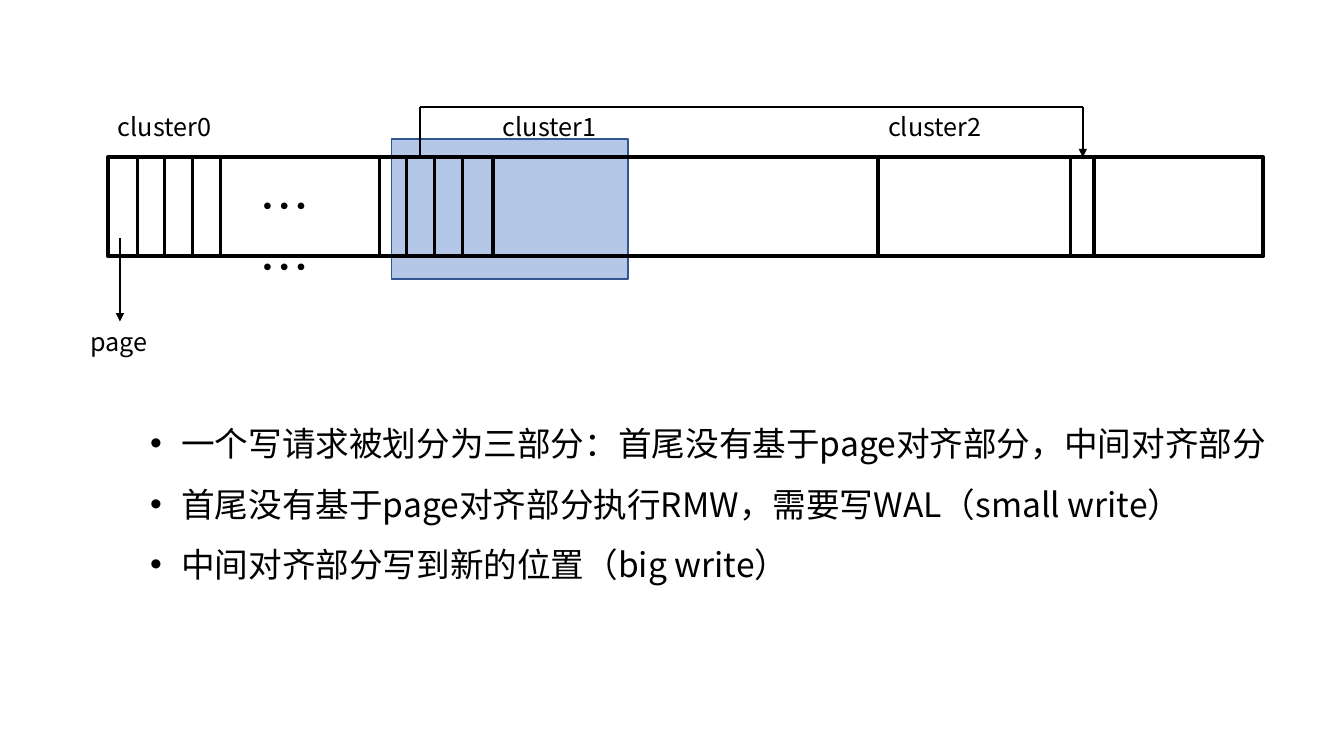
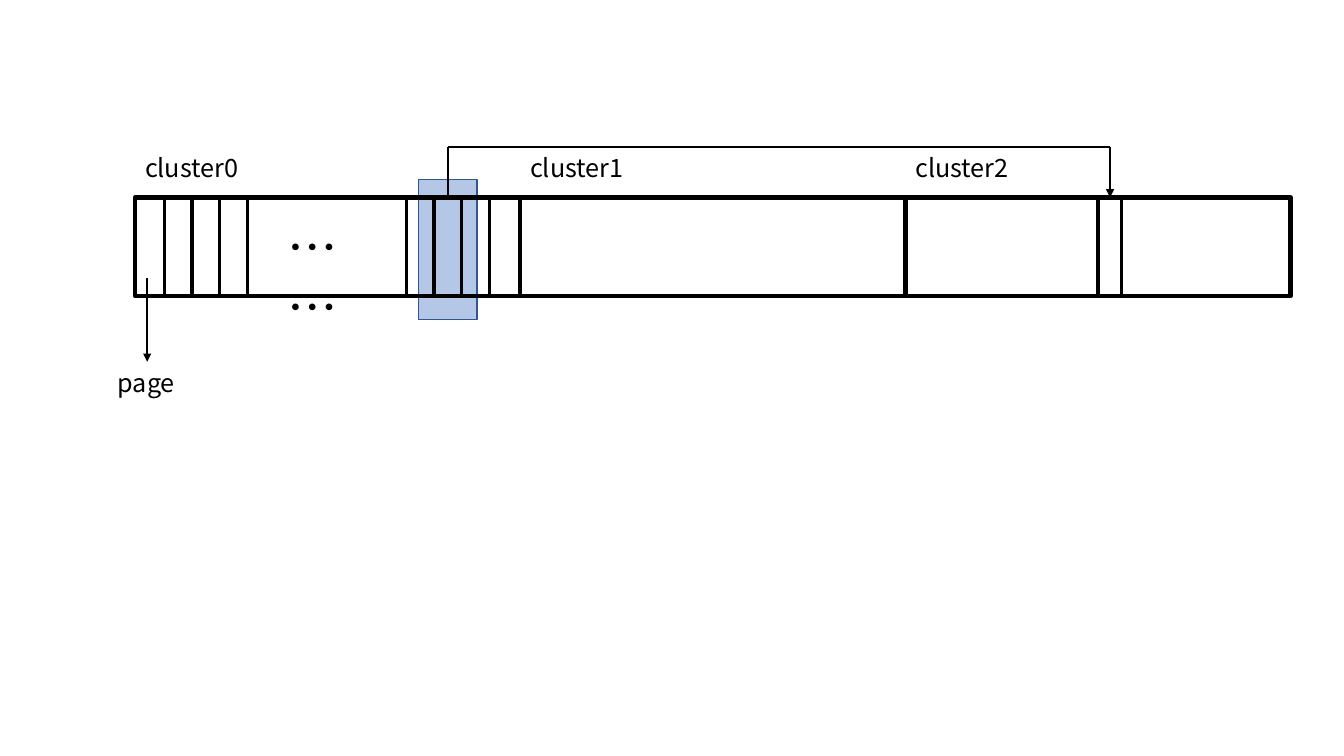
from lxml import etree
from pptx import Presentation
from pptx.dml.color import RGBColor
from pptx.enum import shapes, text
from pptx.oxml import ns
from pptx.util import Inches, Pt

FONT = "Noto Sans CJK SC"
COLORS = {"ink": "000000", "fill": "B4C7E7", "edge": "325491"}

# Strip measures, in inches from its top left corner
CELL, HIGH, RISE = 3.82, 0.98, 0.5
STEP = 0.275
PAGES = [start + STEP * i for start in (0.29, 2.69) for i in range(4)]
MOVED = [9.55, 9.78]
SOURCE, TARGET = 3.1, 9.67

POINTS = [
    "一个写请求被划分为三部分：首尾没有基于page对齐部分，中间对齐部分",
    "首尾没有基于page对齐部分执行RMW，需要写WAL（small write）",
    "中间对齐部分写到新的位置（big write）",
]


class Deck:
    def __init__(self):
        self.prs = Presentation()
        self.prs.slide_width = Inches(13.33)
        self.prs.slide_height = Inches(7.5)
        self.slide = None

    def page(self):
        self.slide = self.prs.slides.add_slide(self.prs.slide_layouts[6])

    def color(self, name):
        return RGBColor.from_string(COLORS[name])

    def box(self, x, y, w, h, fill=None, line="ink", width=3):
        rect = self.slide.shapes.add_shape(
            shapes.MSO_SHAPE.RECTANGLE, *map(Inches, (x, y, w, h)))
        rect.shadow.inherit = False
        if fill:
            rect.fill.solid()
            rect.fill.fore_color.rgb = self.color(fill)
        else:
            rect.fill.background()
        rect.line.color.rgb = self.color(line)
        rect.line.width = Pt(width)

    def line(self, x1, y1, x2, y2, width=1.5, arrow=False):
        link = self.slide.shapes.add_connector(
            shapes.MSO_CONNECTOR.STRAIGHT, *map(Inches, (x1, y1, x2, y2)))
        link.line.color.rgb = self.color("ink")
        link.line.width = Pt(width)
        if arrow:
            etree.SubElement(link.line._get_or_add_ln(), ns.qn("a:tailEnd"),
                             type="triangle")
        etree.SubElement(link._element.spPr, ns.qn("a:effectLst"))

    def text(self, x, y, w, h, lines, size=18, space=None, bullet=False):
        frame = self.slide.shapes.add_textbox(
            *map(Inches, (x, y, w, h))).text_frame
        frame.word_wrap = True
        frame.vertical_anchor = text.MSO_ANCHOR.TOP
        for i, words in enumerate(lines):
            para = frame.add_paragraph() if i else frame.paragraphs[0]
            if space:
                para.line_spacing = space
            if bullet:
                self.bullet(para)
            run = para.add_run()
            run.text = words
            run.font.size = Pt(size)
            run.font.name = FONT
            run.font.color.rgb = self.color("ink")
            etree.SubElement(run.font._element, ns.qn("a:ea"), typeface=FONT)

    def bullet(self, para):
        props = para._p.get_or_add_pPr()
        props.set("marL", str(Inches(0.31)))
        props.set("indent", str(-Inches(0.31)))
        etree.SubElement(props, ns.qn("a:buFont"), typeface="Arial")
        etree.SubElement(props, ns.qn("a:buChar"), char="•")

    def strip(self, x, y, span):
        """Clusters with their pages; span is the width of the write."""
        # Written range, behind the clusters
        self.box(x + 2.81, y - 0.18, span, 1.39, "fill", "edge", 1)

        # Clusters and labels
        for i in range(3):
            left = x + CELL * i
            self.box(left, y, CELL, HIGH)
            self.text(left, y - RISE, 2.14, 0.63, [f"cluster{i}"])

        # Page borders
        for dx in PAGES + MOVED:
            self.line(x + dx, y, x + dx, y + HIGH, 2.25)
        self.text(x + 1.41, y + 0.13, 1.17, 0.71, ["……"], 36)

        # Pointer to a page
        self.line(x + 0.12, y + 0.8, x + 0.12, y + 1.63, arrow=True)
        self.text(x - 0.27, y + 1.63, 0.83, 0.4, ["page"])

        # Move to the new place
        start, end, top = x + SOURCE, x + TARGET, y - RISE
        self.line(start, y, start, top)
        self.line(end, top, start, top)
        self.line(end, top, end, y, arrow=True)


def main():
    deck = Deck()

    # Large write
    deck.page()
    deck.strip(1.07, 1.56, 2.35)
    deck.text(1.39, 3.95, 11.27, 1.86, POINTS, 24, 1.5, bullet=True)

    # Small write
    deck.page()
    deck.strip(1.34, 1.96, 0.58)

    deck.prs.save("out.pptx")


if __name__ == "__main__":
    main()
